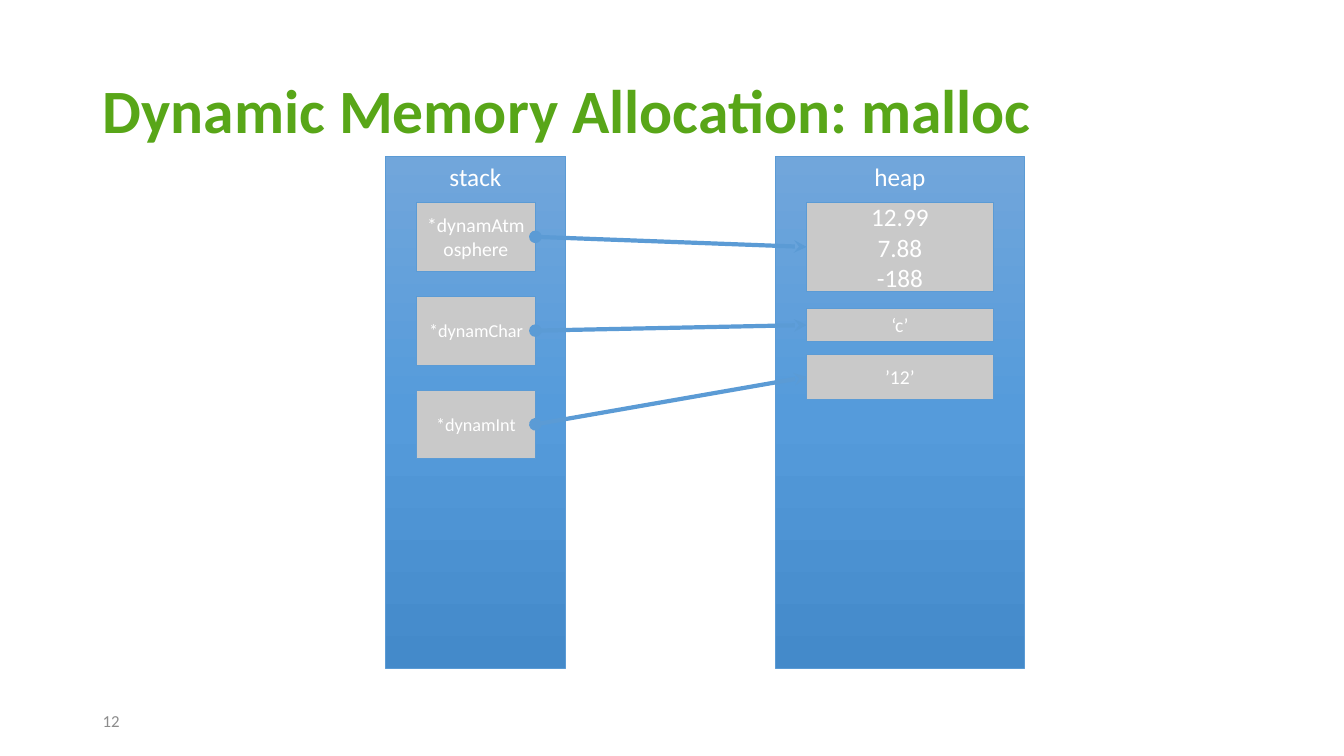
from copy import deepcopy
from dataclasses import dataclass

from pptx import Presentation
from pptx.dml.color import RGBColor
from pptx.enum.shapes import MSO_CONNECTOR, MSO_SHAPE
from pptx.enum.text import MSO_ANCHOR, PP_ALIGN
from pptx.oxml.ns import qn
from pptx.util import Inches, Pt
from lxml.etree import SubElement


@dataclass(frozen=True)
class Theme:
    font: str = "Calibri"
    title: str = "58A618"
    number: str = "8C8C8C"
    text: str = "FFFFFF"
    cell: str = "C9C9C9"
    line: str = "5B9BD5"
    gradient: tuple = ("71A6DB", "559BDB", "448ACA")
    title_size: int = 44
    label_size: int = 18
    number_size: int = 12


THEME = Theme()
RIGHT, LEFT = 3, 1

REGION_TOP, REGION_HEIGHT = 1.55, 5.08
REGIONS = [("stack", 3.82, 1.79), ("heap", 7.69, 2.47)]

POINTER_LEFT, POINTER_TOP, POINTER_STEP = 4.13, 2.01, 0.93
POINTER_WIDTH, POINTER_HEIGHT = 1.18, 0.68
VALUE_LEFT, VALUE_WIDTH = 8, 1.85

# pointer, its size, value, its size, value top, value height
ALLOCATIONS = [
    ("*dynamAtmosphere", 14, "12.99\n7.88\n-188", 18, 2.01, 0.88),
    ("*dynamChar", 13, "‘c’", 14, 3.06, 0.33),
    ("*dynamInt", 13, "’12’", 14, 3.52, 0.44),
]


def set_text(tf, text, size, color, align=PP_ALIGN.LEFT,
             anchor=MSO_ANCHOR.MIDDLE, bold=False):
    tf.text = text
    tf.word_wrap = True
    tf.vertical_anchor = anchor
    for p in tf.paragraphs:
        p.alignment = align
        for r in p.runs:
            r.font.name = THEME.font
            r.font.size = Pt(size)
            r.font.bold = bold
            r.font.color.rgb = RGBColor.from_string(color)


def add_title(slide, text):
    title = slide.shapes.title
    title.left, title.top = Inches(0.92), Inches(0.4)
    title.width, title.height = Inches(11.5), Inches(1.45)
    set_text(title.text_frame, text, THEME.title_size, THEME.title, bold=True)
    title.text_frame.paragraphs[0].line_spacing = 0.9


def add_slide_number(slide, number):
    box = slide.shapes.add_textbox(Inches(0.92), Inches(6.95), Inches(1.54), Inches(0.4))
    set_text(box.text_frame, number, THEME.number_size, THEME.number)


def add_box(slide, left, top, width, height, text, size, anchor=MSO_ANCHOR.MIDDLE):
    sp = slide.shapes.add_shape(MSO_SHAPE.RECTANGLE, Inches(left), Inches(top),
                                Inches(width), Inches(height))
    sp.shadow.inherit = False
    sp.fill.solid()
    sp.fill.fore_color.rgb = RGBColor.from_string(THEME.cell)
    sp.line.color.rgb = RGBColor.from_string(THEME.line)
    sp.line.width = Pt(0.5)
    set_text(sp.text_frame, text, size, THEME.text, PP_ALIGN.CENTER, anchor)
    return sp


def add_region(slide, name, left, width):
    """Add a memory region: a labelled box with a vertical three-stop gradient."""
    sp = add_box(slide, left, REGION_TOP, width, REGION_HEIGHT, name,
                 THEME.label_size, MSO_ANCHOR.TOP)
    sp.fill.gradient()
    sp.fill.gradient_angle = 270
    stops = sp._element.spPr.find(".//" + qn("a:gsLst"))
    stops.insert(1, deepcopy(stops[0]))
    for stop, position, color in zip(sp.fill.gradient_stops, (0, 0.5, 1), THEME.gradient):
        stop.position = position
        stop.color.rgb = RGBColor.from_string(color)


def add_arrow(slide, pointer, value):
    arrow = slide.shapes.add_connector(MSO_CONNECTOR.STRAIGHT, 0, 0, 0, 0)
    arrow.begin_connect(pointer, RIGHT)
    arrow.end_connect(value, LEFT)
    arrow.line.color.rgb = RGBColor.from_string(THEME.line)
    arrow.line.width = Pt(3)
    ln = arrow.line._get_or_add_ln()
    SubElement(ln, qn("a:headEnd"), type="oval")
    SubElement(ln, qn("a:tailEnd"), type="stealth")
    SubElement(arrow._element.spPr, qn("a:effectLst"))


def main():
    prs = Presentation()
    prs.slide_width, prs.slide_height = Inches(13.33), Inches(7.5)
    slide = prs.slides.add_slide(prs.slide_layouts[5])

    add_title(slide, "Dynamic Memory Allocation: malloc")
    add_slide_number(slide, "12")
    for name, left, width in REGIONS:
        add_region(slide, name, left, width)

    for i, (name, name_size, content, size, top, height) in enumerate(ALLOCATIONS):
        pointer = add_box(slide, POINTER_LEFT, POINTER_TOP + i * POINTER_STEP,
                          POINTER_WIDTH, POINTER_HEIGHT, name, name_size)
        value = add_box(slide, VALUE_LEFT, top, VALUE_WIDTH, height, content, size)
        add_arrow(slide, pointer, value)

    prs.save("out.pptx")


if __name__ == "__main__":
    main()
